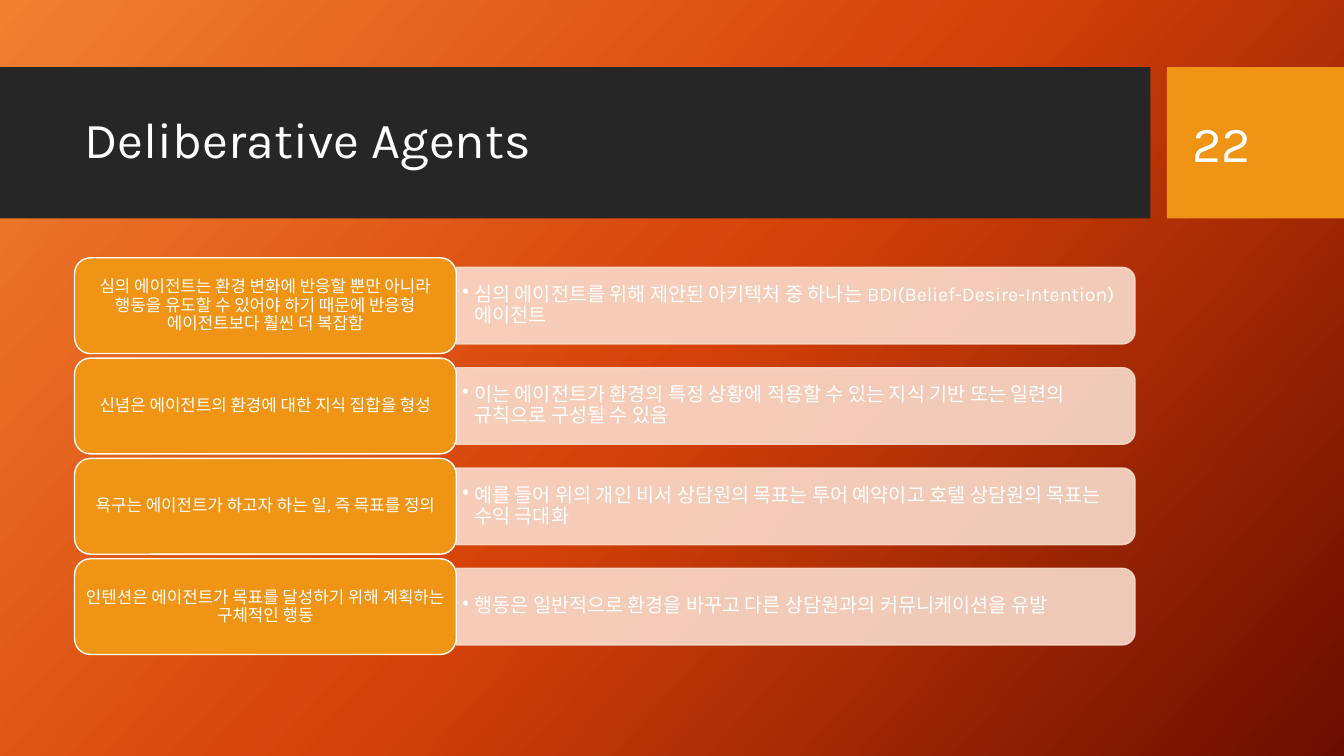
from dataclasses import dataclass

from lxml.etree import SubElement
from pptx import Presentation
from pptx.dml.color import RGBColor
from pptx.enum.shapes import MSO_SHAPE as Preset
from pptx.enum.text import MSO_ANCHOR as Anchor, PP_ALIGN as Align
from pptx.oxml.ns import qn
from pptx.shapes.autoshape import Shape
from pptx.slide import Slide
from pptx.util import Inches, Length, Pt

WIDTH, HEIGHT = Inches(13.33), Inches(7.5)
COLUMNS = ROWS = 100
FONT = "Karla"
COLOURS = {
    "glow": "F18031",
    "flame": "D54209",
    "ember": "6A0D00",
    "band": "262626",
    "accent": "F09415",
    "pale": "F9DCCC",
    "white": "FFFFFF",
}


@dataclass(frozen=True)
class Area:
    column: float
    row: float
    columns: float
    rows: float


@dataclass(frozen=True)
class Concept:
    label: str
    detail: str


TITLE_BAND = Area(0, 8.9, 85.6, 20)
NUMBER_BAND = Area(86.83, 8.9, 13.17, 20)
TITLE = Area(5.55, 10.93, 78.83, 15.73)
NUMBER = Area(87.98, 10.93, 9.45, 15.87)
FIRST_ROW, ROW_PITCH = 34.1, 13.27
LABEL_LEFT, LABEL_COLUMNS, LABEL_ROWS = 5.55, 28.4, 12.67
BAR_COLUMNS, BAR_ROWS = 50.5, 10.13
DETAIL_COLUMNS, DETAIL_ROWS = 50.2, 9.07
CONCEPTS = [
    Concept(
        "심의 에이전트는 환경 변화에 반응할 뿐만 아니라 행동을 유도할 수 있어야 하기 때문에 반응형 에이전트보다 훨씬 더 복잡함",
        "심의 에이전트를 위해 제안된 아키텍처 중 하나는 BDI(Belief-Desire-Intention) 에이전트",
    ),
    Concept(
        "신념은 에이전트의 환경에 대한 지식 집합을 형성",
        "이는 에이전트가 환경의 특정 상황에 적용할 수 있는 지식 기반 또는 일련의 규칙으로 구성될 수 있음",
    ),
    Concept(
        "욕구는 에이전트가 하고자 하는 일, 즉 목표를 정의",
        "예를 들어 위의 개인 비서 상담원의 목표는 투어 예약이고 호텔 상담원의 목표는 수익 극대화",
    ),
    Concept(
        "인텐션은 에이전트가 목표를 달성하기 위해 계획하는 구체적인 행동",
        "행동은 일반적으로 환경을 바꾸고 다른 상담원과의 커뮤니케이션을 유발",
    ),
]


def across(columns: float) -> Length:
    return Length(round(WIDTH * columns / COLUMNS))


def down(rows: float) -> Length:
    return Length(round(HEIGHT * rows / ROWS))


def frame(area: Area) -> tuple[Length, Length, Length, Length]:
    return across(area.column), down(area.row), across(area.columns), down(area.rows)


def colour(name: str) -> RGBColor:
    return RGBColor.from_string(COLOURS[name])


def paint_background(page: Slide) -> None:
    fill = page.background.fill
    fill.gradient()
    fill.gradient_angle = 360 - 42
    stops = page.element.find(".//" + qn("a:gsLst"))
    for stop in list(stops):
        stops.remove(stop)
    for position, name in ((0, "glow"), (50, "flame"), (100, "ember")):
        stop = SubElement(stops, qn("a:gs"), pos=str(position * 1000))
        SubElement(stop, qn("a:srgbClr"), val=COLOURS[name])


def add_panel(page: Slide, preset: Preset, area: Area, fill: str, *,
              line: str | None = None, opacity: int = 100,
              upright: bool = True) -> Shape:
    left, top, width, height = frame(area)
    if not upright:
        left, top = left + (width - height) // 2, top + (height - width) // 2
        width, height = height, width
    box = page.shapes.add_shape(preset, left, top, width, height)
    box.rotation = 0 if upright else 90
    box.shadow.inherit = False
    box.fill.solid()
    box.fill.fore_color.rgb = colour(fill)
    if line:
        box.line.color.rgb = colour(line)
        box.line.width = Pt(1)
    else:
        box.line.fill.background()
    if opacity < 100:
        for tint in box.element.spPr.iter(qn("a:srgbClr")):
            SubElement(tint, qn("a:alpha"), val=str(opacity * 1000))
    return box


def write(box: Shape, text: str, *, size: int, align: Align = Align.LEFT,
          spacing: float = 0.9, inset: tuple[float, float] = (0.75, 0.67),
          bullet: bool = False) -> None:
    body = box.text_frame
    body.word_wrap = True
    body.vertical_anchor = Anchor.MIDDLE
    body.margin_left = body.margin_right = across(inset[0])
    body.margin_top = body.margin_bottom = down(inset[1])
    para = body.paragraphs[0]
    para.alignment = align
    para.line_spacing = spacing
    if bullet:
        indent = across(0.9)
        properties = para._p.get_or_add_pPr()
        properties.set("marL", str(indent))
        properties.set("indent", str(-indent))
        SubElement(properties, qn("a:buChar"), char="•")
    span = para.add_run()
    span.text = text
    span.font.name = FONT
    span.font.size = Pt(size)
    span.font.color.rgb = colour("white")


def add_text(page: Slide, area: Area, text: str, **style) -> None:
    write(page.shapes.add_textbox(*frame(area)), text, **style)


def add_concept(page: Slide, index: int, concept: Concept) -> None:
    row = FIRST_ROW + index * ROW_PITCH
    middle = row + LABEL_ROWS / 2
    edge = LABEL_LEFT + LABEL_COLUMNS
    bar = Area(edge, middle - BAR_ROWS / 2, BAR_COLUMNS, BAR_ROWS)
    detail = Area(edge, middle - DETAIL_ROWS / 2, DETAIL_COLUMNS, DETAIL_ROWS)
    label = Area(LABEL_LEFT, row, LABEL_COLUMNS, LABEL_ROWS)
    add_panel(page, Preset.ROUND_2_SAME_RECTANGLE, bar, "pale",
              line="pale", opacity=90, upright=False)
    add_text(page, detail, concept.detail, size=14, inset=(0.45, 0.4), bullet=True)
    box = add_panel(page, Preset.ROUNDED_RECTANGLE, label, "accent", line="white")
    write(box, concept.label, size=12, align=Align.CENTER, inset=(0.37, 0.4))


def main() -> None:
    deck = Presentation()
    deck.slide_width, deck.slide_height = WIDTH, HEIGHT
    page = deck.slides.add_slide(deck.slide_layouts[6])
    paint_background(page)
    add_panel(page, Preset.RECTANGLE, TITLE_BAND, "band")
    add_panel(page, Preset.RECTANGLE, NUMBER_BAND, "accent")
    add_text(page, TITLE, "Deliberative Agents", size=36)
    for index, concept in enumerate(CONCEPTS):
        add_concept(page, index, concept)
    add_text(page, NUMBER, "22", size=36, spacing=1.0)
    deck.save("out.pptx")


if __name__ == "__main__":
    main()
